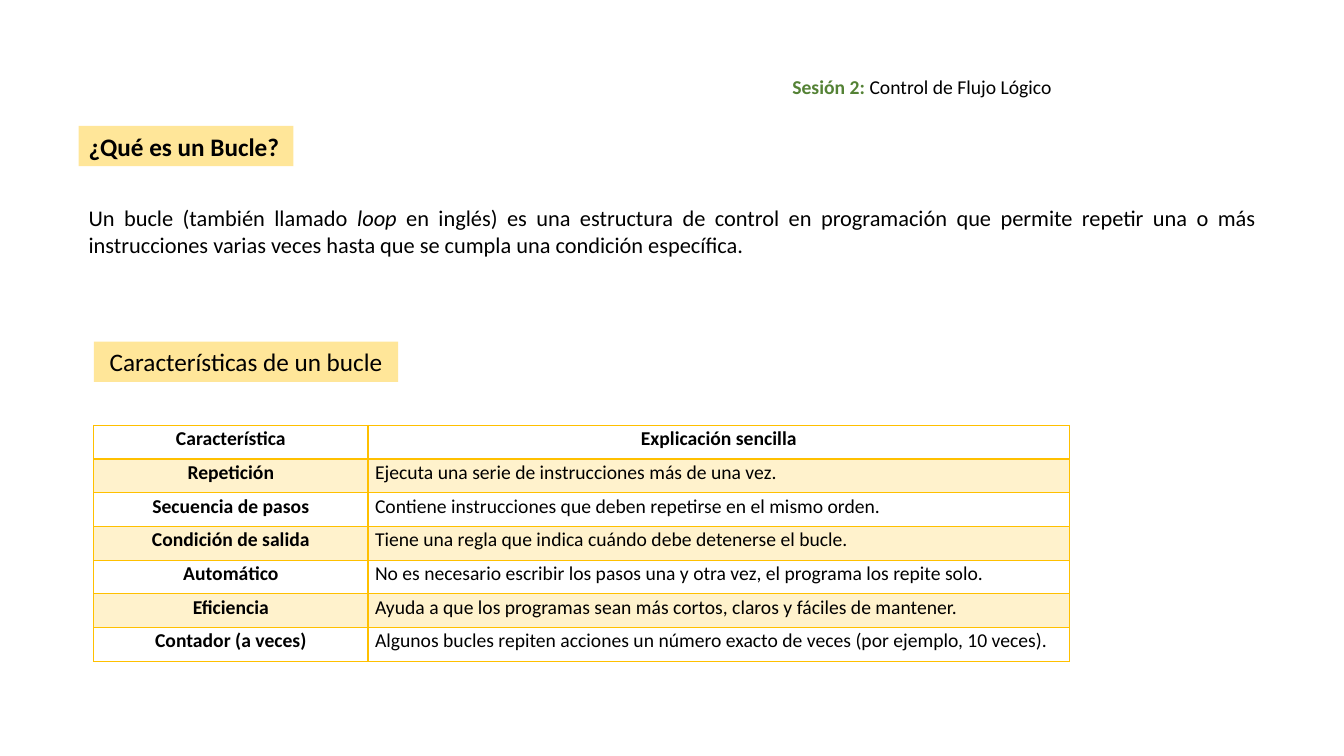
from lxml import etree
from pptx import Presentation
from pptx.dml.color import RGBColor
from pptx.enum.shapes import MSO_SHAPE
from pptx.enum.text import MSO_ANCHOR, PP_ALIGN
from pptx.oxml.ns import qn
from pptx.util import Inches, Pt

LEFT, CENTER, JUSTIFY = PP_ALIGN.LEFT, PP_ALIGN.CENTER, PP_ALIGN.JUSTIFY
TOP, RECTANGLE = MSO_ANCHOR.TOP, MSO_SHAPE.RECTANGLE

FONT = "Calibri"
COLORS = {"text": "000000", "session": "548235", "label": "FFE699",
          "border": "FFC000", "band": "FFF2CC"}

# Runs: (text, style), where style overrides the plain look
SESSION = [("Sesión 2: ", {"bold": True, "color": "session"}),
           ("Control de Flujo Lógico", {})]
DEFINITION = [
    ("Un bucle (también llamado ", {}),
    ("loop", {"italic": True}),
    (" en inglés) es una estructura de control en programación que permite "
     "repetir una o más instrucciones varias veces hasta que se cumpla una "
     "condición específica.", {}),
]
# Box (left, top, width, height), size, alignment, runs
TEXTS = [
    ((7.76, 0.69, 5.26, 0.34), 14, LEFT, SESSION),
    ((0.78, 1.98, 11.78, 0.64), 16, JUSTIFY, DEFINITION),
]
LABELS = [
    ((0.78, 1.25, 2.13, 0.4), 18, JUSTIFY, [("¿Qué es un Bucle?", {"bold": True})]),
    ((0.93, 3.39, 3.02, 0.4), 18, CENTER, [("Características de un bucle", {})]),
]
FEATURES = [
    ("Característica", "Explicación sencilla"),
    ("Repetición", "Ejecuta una serie de instrucciones más de una vez."),
    ("Secuencia de pasos", "Contiene instrucciones que deben repetirse en el mismo orden."),
    ("Condición de salida", "Tiene una regla que indica cuándo debe detenerse el bucle."),
    ("Automático", "No es necesario escribir los pasos una y otra vez, el programa los repite solo."),
    ("Eficiencia", "Ayuda a que los programas sean más cortos, claros y fáciles de mantener."),
    ("Contador (a veces)", "Algunos bucles repiten acciones un número exacto de veces (por ejemplo, 10 veces)."),
]
TABLE_LEFT, TABLE_TOP, TABLE_HEIGHT = 0.93, 4.22, 2.34
COLUMN_WIDTHS = (2.72, 6.96)


def rgb(name):
    return RGBColor.from_string(COLORS[name])


def write(tf, runs, size, align):
    tf.word_wrap = True
    p = tf.paragraphs[0]
    p.alignment = align
    for text, style in runs:
        r = p.add_run()
        r.text = text
        r.font.name = FONT
        r.font.size = Pt(size)
        r.font.bold = style.get("bold", False)
        r.font.italic = style.get("italic", False)
        r.font.color.rgb = rgb(style.get("color", "text"))
    return p


def add_label(s, box, size, align, runs):
    sp = s.shapes.add_shape(RECTANGLE, *map(Inches, box))
    sp.shadow.inherit = False
    sp.fill.solid()
    sp.fill.fore_color.rgb = rgb("label")
    sp.line.fill.background()
    sp.text_frame.vertical_anchor = TOP
    write(sp.text_frame, runs, size, align)


def add_borders(cell, widths):
    """Draw the cell's edges; widths maps L, R, T and B to points."""
    tc_pr = cell._tc.get_or_add_tcPr()
    for side, width in widths.items():
        ln = etree.SubElement(tc_pr, qn(f"a:ln{side}"), w=str(Pt(width)))
        fill = etree.SubElement(ln, qn("a:solidFill"))
        etree.SubElement(fill, qn("a:srgbClr"), val=COLORS["border"])


def add_features(s):
    table = s.shapes.add_table(
        len(FEATURES), len(COLUMN_WIDTHS), Inches(TABLE_LEFT), Inches(TABLE_TOP),
        Inches(sum(COLUMN_WIDTHS)), Inches(TABLE_HEIGHT)).table
    table.first_row = table.horz_banding = False
    for column, width in zip(table.columns, COLUMN_WIDTHS):
        column.width = Inches(width)
    for i, row in enumerate(FEATURES):
        for j, text in enumerate(row):
            cell = table.cell(i, j)
            heading = i == 0 or j == 0
            cell.margin_left = cell.margin_right = Inches(0.07)
            cell.margin_top = cell.margin_bottom = 0
            p = write(cell.text_frame, [(text, {"bold": heading})], 14,
                      CENTER if heading else JUSTIFY)
            p.line_spacing = 1.07
            p.space_after = Pt(8)
            add_borders(cell, {"L": 1, "R": 1, "T": 2 if i == 1 else 1,
                               "B": 2 if i == 0 else 1})
            if i % 2:
                cell.fill.solid()
                cell.fill.fore_color.rgb = rgb("band")
            else:
                cell.fill.background()


def main():
    prs = Presentation()
    prs.slide_width, prs.slide_height = Inches(13.33), Inches(7.5)
    s = prs.slides.add_slide(prs.slide_layouts[6])
    for box, size, align, runs in TEXTS:
        sp = s.shapes.add_textbox(*map(Inches, box))
        write(sp.text_frame, runs, size, align)
    for label in LABELS:
        add_label(s, *label)
    add_features(s)
    prs.save("out.pptx")


if __name__ == "__main__":
    main()
